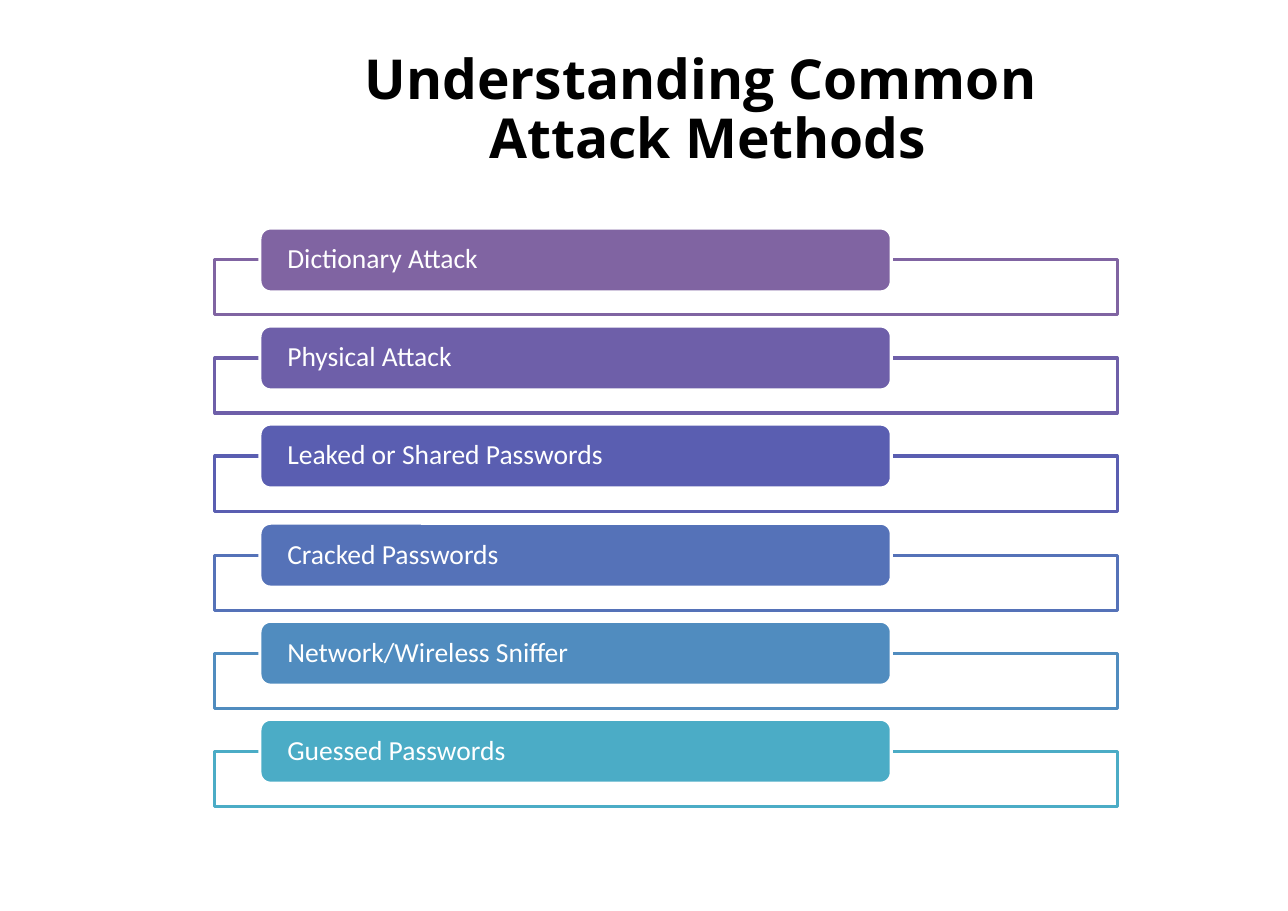
"""Build the slide on common password attack methods."""
from dataclasses import dataclass

from pptx import Presentation
from pptx import util as u
from pptx.dml.color import RGBColor
from pptx.enum import shapes, text
from pptx.oxml import xmlchemy as xc
from pptx.shapes.autoshape import Shape
from pptx.slide import Slide
from pptx.text.text import Font, TextFrame

PX = 9144


@dataclass(frozen=True)
class Theme:
    """Colours, fonts and sizes in points."""
    ink: str = "000000"
    paper: str = "FFFFFF"
    head: str = "Open Sans"
    body: str = "Calibri"
    title: int = 36
    label: int = 18
    line: int = 2
    tight: float = 0.9


@dataclass(frozen=True)
class Box:
    """A place on the slide in px."""
    left: int
    top: int
    width: int
    height: int

    def emu(self) -> list[int]:
        """Give the place in EMU."""
        return [n * PX for n in (self.left, self.top, self.width, self.height)]


@dataclass(frozen=True)
class Attack:
    """One attack method and its colour."""
    name: str
    hue: str


THEME = Theme()
TITLE = Box(182, 57, 921, 88)
TOP, SPAN = 207, 446
LINES = ("Understanding Common ", "Attack Methods")
ATTACKS = (
    Attack("Dictionary Attack", "8064A2"),
    Attack("Physical Attack", "6E5FA9"),
    Attack("Leaked or Shared Passwords", "5A5EB1"),
    Attack("Cracked Passwords", "5572B8"),
    Attack("Network/Wireless Sniffer", "508CBF"),
    Attack("Guessed Passwords", "4BACC6"),
)


def style(font: Font, name: str, size: int, hue: str, bold: bool) -> None:
    """Set the look of a run."""
    font.name, font.size, font.bold = name, u.Pt(size), bold
    font.color.rgb = RGBColor.from_string(hue)


def fit(frame: TextFrame, side: int, edge: int) -> None:
    """Set the insets and centre the text upright."""
    frame.margin_left = frame.margin_right = side * PX
    frame.margin_top = frame.margin_bottom = edge * PX
    frame.vertical_anchor = text.MSO_ANCHOR.MIDDLE
    frame.auto_size = text.MSO_AUTO_SIZE.NONE
    frame.word_wrap = True


def block(slide: Slide, kind: shapes.MSO_SHAPE, box: Box,
          fill: str, line: str) -> Shape:
    """Draw one filled and outlined shape."""
    shape = slide.shapes.add_shape(kind, *box.emu())
    shape.shadow.inherit = False
    shape.fill.solid()
    shape.fill.fore_color.rgb = RGBColor.from_string(fill)
    shape.line.color.rgb = RGBColor.from_string(line)
    shape.line.width = u.Pt(THEME.line)
    return shape


def head(slide: Slide) -> None:
    """Fill the title placeholder."""
    title = slide.shapes.title
    title.left, title.top, title.width, title.height = TITLE.emu()
    fit(title.text_frame, 11, 6)
    para = title.text_frame.paragraphs[0]
    para.alignment = text.PP_ALIGN.CENTER
    para.line_spacing = THEME.tight
    for i, words in enumerate(LINES):
        if i:
            para.add_line_break()
        run = para.add_run()
        run.text = words
        style(run.font, THEME.head, THEME.title, THEME.ink, True)


def row(slide: Slide, attack: Attack, top: int) -> None:
    """Draw a frame with its label bar."""
    block(slide, shapes.MSO_SHAPE.RECTANGLE, Box(195, top + 29, 819, 50),
          THEME.paper, attack.hue)
    bar = block(slide, shapes.MSO_SHAPE.ROUNDED_RECTANGLE,
                Box(236, top, 573, 58), attack.hue, THEME.paper)
    fit(bar.text_frame, 22, 0)
    para = bar.text_frame.paragraphs[0]
    para.alignment = text.PP_ALIGN.LEFT
    para.line_spacing = THEME.tight
    run = para.add_run()
    run.text = attack.name
    style(run.font, THEME.body, THEME.label, THEME.paper, False)


def main() -> None:
    """Build and save the deck."""
    deck = Presentation()
    deck.slide_width, deck.slide_height = 1169 * PX, 827 * PX
    slide = deck.slides.add_slide(deck.slide_layouts[5])
    head(slide)
    for i, attack in enumerate(ATTACKS):
        row(slide, attack, TOP + round(SPAN * i / (len(ATTACKS) - 1)))
    deck.save("out.pptx")


if __name__ == "__main__":
    main()
